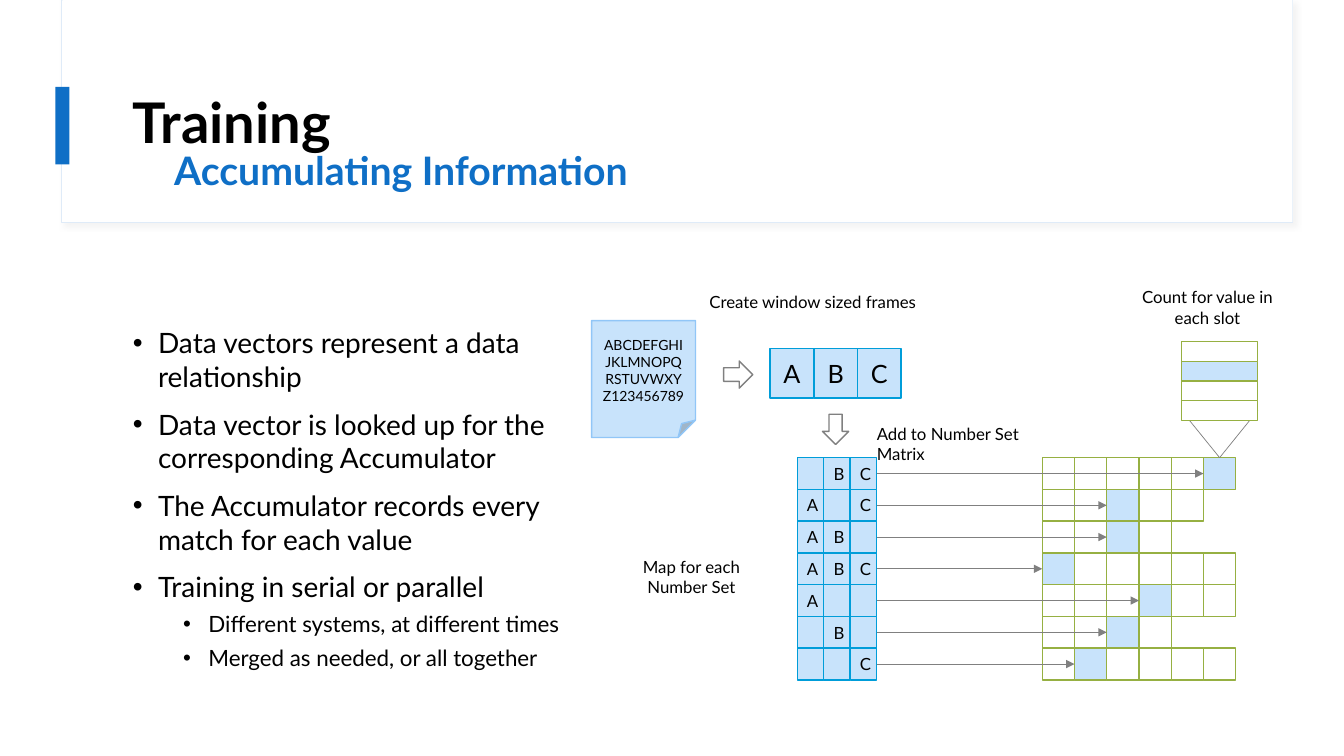
from dataclasses import dataclass
from typing import NamedTuple

from lxml import etree
from pptx import Presentation
from pptx.dml.color import RGBColor
from pptx.enum.shapes import MSO_CONNECTOR, MSO_SHAPE
from pptx.enum.text import MSO_ANCHOR, PP_ALIGN
from pptx.oxml.ns import qn
from pptx.util import Pt

RECTANGLE = MSO_SHAPE.RECTANGLE
FOLDED_CORNER = MSO_SHAPE.FOLDED_CORNER
DOWN_ARROW = MSO_SHAPE.DOWN_ARROW
STRAIGHT = MSO_CONNECTOR.STRAIGHT
TOP, MIDDLE = MSO_ANCHOR.TOP, MSO_ANCHOR.MIDDLE
LEFT, CENTER = PP_ALIGN.LEFT, PP_ALIGN.CENTER


@dataclass(frozen=True)
class Theme:
    font: str = "Lato"
    black: str = "000000"
    white: str = "FFFFFF"
    accent: str = "0F6FC6"
    panel_line: str = "DFEBF8"
    shadow: str = "D9D9D9"
    pale_blue: str = "C8E3FB"
    note_line: str = "91C6F7"
    cyan: str = "009DD9"
    green: str = "96B042"
    gray: str = "808080"
    title: int = 40
    subtitle: int = 28
    body: int = 20
    frame: int = 18
    sub_body: int = 16
    label: int = 12
    note: int = 10


THEME = Theme()


class Box(NamedTuple):
    left: float
    top: float
    width: float
    height: float

    def lengths(self):
        return [Pt(value) for value in self]

    def inside(self, x, y, width, height):
        return Box(self.left + x, self.top + y, width, height)

    def cell(self, row, column, rows, columns):
        width, height = self.width / columns, self.height / rows
        return self.inside(column * width, row * height, width, height)


BULLETS = [
    (0, "Data vectors represent a data relationship"),
    (0, "Data vector is looked up for the corresponding Accumulator"),
    (0, "The Accumulator records every match for each value"),
    (0, "Training in serial or parallel"),
    (1, "Different systems, at different times"),
    (1, "Merged as needed, or all together"),
]
# Letters of each number set, slots in its row, and the slot that is marked
NUMBER_SETS = [
    (" BC", 6, 5), ("A C", 5, 2), ("AB ", 4, 2), ("ABC", 6, 0),
    ("A  ", 6, 3), (" B ", 4, 2), ("  C", 6, 1),
]
MAP_COLUMNS, SLOT_COLUMNS = 3, 6


def style_paragraph(paragraph, size, color=THEME.black, bold=False, align=LEFT):
    paragraph.alignment = align
    font = paragraph.font
    font.name, font.size, font.bold = THEME.font, Pt(size), bold
    font.color.rgb = RGBColor.from_string(color)


def add_text(slide, box, text, size, color=THEME.black, bold=False,
             align=LEFT, anchor=TOP, spacing=1.0):
    shape = slide.shapes.add_textbox(*box.lengths())
    frame = shape.text_frame
    frame.word_wrap, frame.vertical_anchor = True, anchor
    frame.text = text
    for paragraph in frame.paragraphs:
        style_paragraph(paragraph, size, color, bold, align)
        paragraph.line_spacing = spacing


def add_block(slide, box, fill, line=None, line_width=1, kind=RECTANGLE,
              text="", size=THEME.label):
    shape = slide.shapes.add_shape(kind, *box.lengths())
    shape.shadow.inherit = False
    shape.fill.solid()
    shape.fill.fore_color.rgb = RGBColor.from_string(fill)
    if line:
        shape.line.color.rgb = RGBColor.from_string(line)
        shape.line.width = Pt(line_width)
    else:
        shape.line.fill.background()
    if text:
        frame = shape.text_frame
        frame.word_wrap, frame.vertical_anchor = True, MIDDLE
        frame.text = text
        style_paragraph(frame.paragraphs[0], size, align=CENTER)
    return shape


def add_line(slide, start, end, arrow=False):
    line = slide.shapes.add_connector(STRAIGHT, *[Pt(value) for value in (*start, *end)])
    line.line.color.rgb = RGBColor.from_string(THEME.gray)
    line.line.width = Pt(0.5)
    if arrow:
        etree.SubElement(line.line._get_or_add_ln(), qn("a:tailEnd"), type="triangle")
    etree.SubElement(line._element.spPr, qn("a:effectLst"))


def add_soft_shadow(shape):
    effects = shape._element.spPr.find(qn("a:effectLst"))
    shadow = etree.SubElement(effects, qn("a:outerShdw"), blurRad=str(Pt(4)),
                              dist=str(Pt(3)), dir="2700000", algn="tl")
    color = etree.SubElement(shadow, qn("a:srgbClr"), val=THEME.shadow)
    etree.SubElement(color, qn("a:alpha"), val="30000")


def add_header(slide, box):
    panel = add_block(slide, box, THEME.white, THEME.panel_line, 0.75)
    add_soft_shadow(panel)
    add_block(slide, box.inside(0.5, 0, box.width - 0.5, box.height - 0.5), THEME.white)
    add_block(slide, box.inside(-4.5, 62, 10, 55.5), THEME.accent)
    add_text(slide, box.inside(43.8, 43.2, 800.6, 92.9), "Training", THEME.title,
             bold=True, anchor=MIDDLE, spacing=0.9)
    add_text(slide, box.inside(73.3, 102.2, 800.6, 42.5), "Accumulating Information",
             THEME.subtitle, THEME.accent, True, anchor=MIDDLE, spacing=0.9)


def add_bullets(slide, box):
    frame = slide.shapes.add_textbox(*box.lengths()).text_frame
    frame.word_wrap = True
    for index, (level, text) in enumerate(BULLETS):
        paragraph = frame.add_paragraph() if index else frame.paragraphs[0]
        paragraph.text, paragraph.level = text, level
        style_paragraph(paragraph, THEME.sub_body if level else THEME.body)
        paragraph.space_before = Pt((5 if level else 10) if index else 0)
        properties = paragraph._p.get_or_add_pPr()
        properties.set("marL", str(Pt(54 if level else 18)))
        properties.set("indent", str(Pt(-18)))
        etree.SubElement(properties, qn("a:buFont"), typeface="Arial")
        etree.SubElement(properties, qn("a:buChar"), char="•")
        # The bullet must precede the default run properties
        properties.append(properties.find(qn("a:defRPr")))


def add_window_frames(slide, box):
    add_block(slide, box.inside(0, 27.4, 74.2, 83.5), THEME.pale_blue, THEME.note_line,
              kind=FOLDED_CORNER, text="ABCDEFGHIJKLMNOPQRSTUVWXYZ123456789",
              size=THEME.note)
    add_text(slide, box.inside(77, 3.6, 179.3, 21.6), "Create window sized frames", THEME.label)
    letters = box.inside(127.5, 47.5, 93.6, 35.3)
    for column, letter in enumerate("ABC"):
        add_block(slide, letters.cell(0, column, 1, 3), THEME.pale_blue, THEME.cyan,
                  text=letter, size=THEME.frame)
    for arrow_box, rotation in ((box.inside(95, 55.5, 19.4, 20.9), 270),
                                (box.inside(164.9, 94.3, 18.7, 21.6), 0)):
        arrow = add_block(slide, arrow_box, THEME.white, THEME.gray, kind=DOWN_ARROW)
        arrow.rotation = rotation


def add_number_set_map(slide, box):
    rows = len(NUMBER_SETS)
    for row, (letters, _, _) in enumerate(NUMBER_SETS):
        for column, letter in enumerate(letters):
            cell = add_block(slide, box.cell(row, column, rows, MAP_COLUMNS),
                             THEME.pale_blue, THEME.cyan, text=letter.strip())
            cell.text_frame.margin_left, cell.text_frame.margin_right = Pt(3), 0
    add_text(slide, box.inside(-121.7, 66.9, 92.2, 36), "Map for each\nNumber Set",
             THEME.label, align=CENTER)
    add_text(slide, box.inside(49.7, -28.1, 122, 36), "Add to Number Set Matrix", THEME.label)


def add_matrix(slide, box, arrow_start):
    rows = len(NUMBER_SETS)
    for row, (_, slots, marked) in enumerate(NUMBER_SETS):
        for column in range(slots):
            fill = THEME.pale_blue if column == marked else THEME.white
            add_block(slide, box.cell(row, column, rows, SLOT_COLUMNS), fill, THEME.green)
        target = box.cell(row, marked, rows, SLOT_COLUMNS)
        middle = target.top + target.height / 2
        add_line(slide, (arrow_start, middle), (target.left, middle), arrow=True)


def add_slot_detail(slide, box, tip):
    add_text(slide, box.inside(-36.7, -42.5, 110.9, 36), "Count for value in each slot",
             THEME.label, align=CENTER)
    for side in (box.left, box.left + box.width):
        add_line(slide, (side, box.top + box.height - 7.2), tip)
    for row in range(4):
        fill = THEME.pale_blue if row == 1 else THEME.white
        add_block(slide, box.cell(row, 0, 4, 1), fill, THEME.green)


def main():
    presentation = Presentation()
    presentation.slide_width, presentation.slide_height = Pt(960), Pt(540)
    slide = presentation.slides.add_slide(presentation.slide_layouts[6])
    add_header(slide, Box(44, 0, 879.1, 159.1))
    add_bullets(slide, Box(87.8, 229.3, 334.8, 256.7))
    add_window_frames(slide, Box(422.6, 201.6, 256.3, 115.9))
    map_box = Box(569.5, 326.9, 56.7, 158.8)
    add_number_set_map(slide, map_box)
    matrix = Box(744.5, map_box.top, 138.2, map_box.height)
    add_matrix(slide, matrix, map_box.left + map_box.width)
    marked = matrix.cell(0, NUMBER_SETS[0][2], len(NUMBER_SETS), SLOT_COLUMNS)
    add_slot_detail(slide, Box(843.8, 244.1, 54.7, 56.2),
                    (marked.left + marked.width / 2, marked.top))
    presentation.save("out.pptx")


if __name__ == "__main__":
    main()
